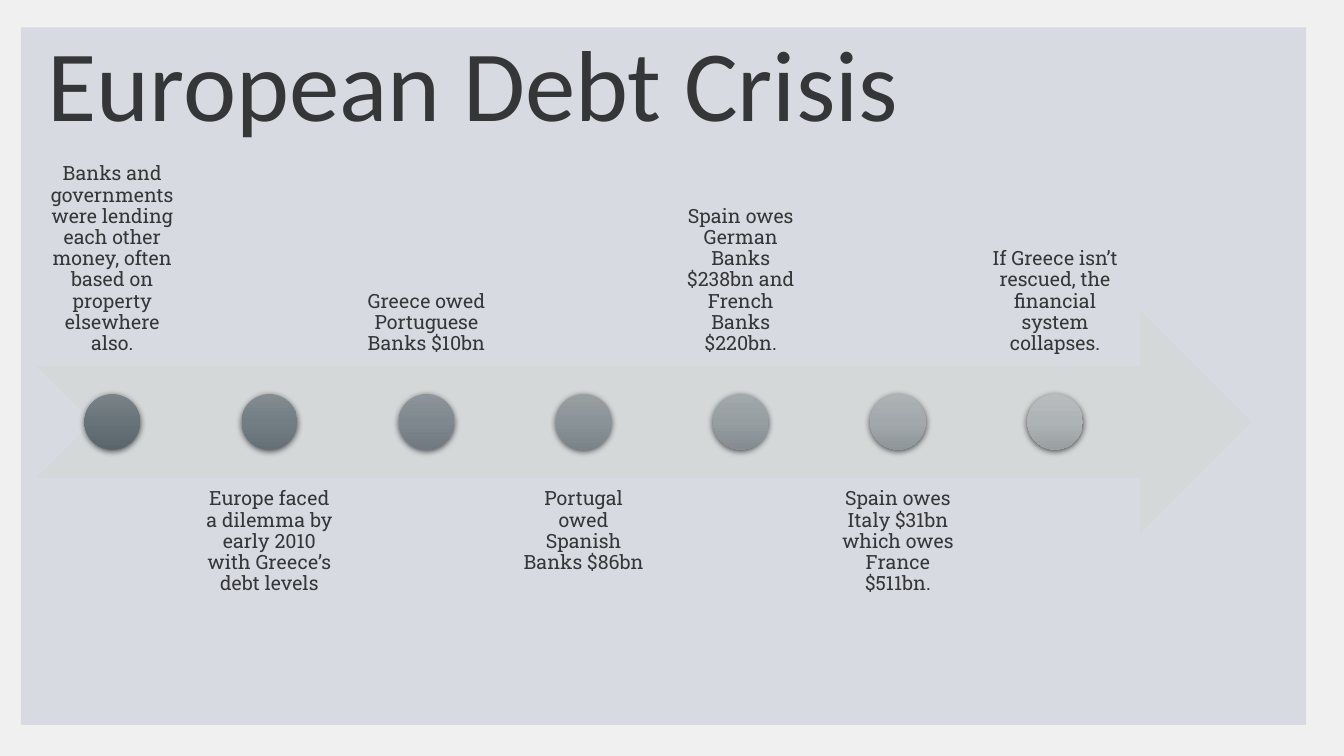
"""Builds the European Debt Crisis timeline slide."""
from copy import deepcopy
from lxml import etree
from pptx import Presentation
from pptx import util as u
from pptx.dml.color import RGBColor
from pptx.enum import shapes, text
from pptx.oxml.ns import qn

INK = "353638"
EVENTS = [
    ("Banks and governments were lending each other money, often based on property elsewhere also.",
     ("7B8388", "687379", "5B666C")),
    ("Europe faced a dilemma by early 2010 with Greece’s debt levels",
     ("838C91", "727E84", "657076")),
    ("Greece owed Portuguese Banks $10bn", ("8D959A", "7E888E", "6F797F")),
    ("Portugal owed Spanish Banks $86bn", ("989FA3", "8A9398", "7A8388")),
    ("Spain owes German Banks $238bn and French Banks $220bn.",
     ("A2A8AC", "969EA2", "858C91")),
    ("Spain owes Italy $31bn which owes France $511bn.",
     ("ADB2B5", "A2A8AC", "8F9699")),
    ("If Greece isn’t rescued, the financial system collapses.",
     ("B8BCBE", "AEB3B6", "9A9FA2")),
]


def paint(color_fill, color):
    color_fill.solid()
    color_fill.fore_color.rgb = RGBColor.from_string(color)


def write(holder, words, frame_format, align, font_format):
    frame = holder.text_frame
    frame.text = words
    for name, value in frame_format.items():
        setattr(frame, name, value)
    paragraph = frame.paragraphs[0]
    paragraph.alignment = align
    paragraph.line_spacing = 0.9
    font = paragraph.runs[0].font
    for name, value in font_format.items():
        setattr(font, name, value)
    paint(font.fill, INK)


deck = Presentation()
deck.slide_width, deck.slide_height = u.Cm(33.87), u.Cm(19.05)
slide = deck.slides.add_slide(deck.slide_layouts[5])
paint(slide.background.fill, "F0F0F0")

heading = slide.shapes.title
for name, value in dict(left=0.94, top=0.69, width=29.9, height=3.1).items():
    setattr(heading, name, u.Cm(value))
write(heading, "European Debt Crisis",
      dict(vertical_anchor=text.MSO_ANCHOR.MIDDLE, word_wrap=True,
           auto_size=text.MSO_AUTO_SIZE.NONE),
      text.PP_ALIGN.LEFT, dict(name="Calibri", size=u.Pt(72)))

backdrop = slide.shapes.add_shape(
    shapes.MSO_SHAPE.RECTANGLE, u.Cm(0.53), u.Cm(0.69), u.Cm(32.39), u.Cm(17.58))
timeline = slide.shapes.add_shape(
    shapes.MSO_SHAPE.NOTCHED_RIGHT_ARROW, u.Cm(0.94), u.Cm(7.83), u.Cm(30.6), u.Cm(5.61))
for band, color in ((backdrop, "D7DAE1"), (timeline, "D5D8D9")):
    paint(band.fill, color)
    band.line.fill.background()
    band.shadow.inherit = False
heading._element.addprevious(backdrop._element)

inset = u.Cm(0.28)
for index, (event, shades) in enumerate(EVENTS):
    left = 0.94 + 3.96 * index
    above = index % 2 == 0
    caption = slide.shapes.add_textbox(
        u.Cm(left), u.Cm(3.61 if above else 12.04), u.Cm(3.78), u.Cm(5.61))
    write(caption, event,
          dict(vertical_anchor=text.MSO_ANCHOR.BOTTOM if above else text.MSO_ANCHOR.TOP,
               word_wrap=True, margin_left=inset, margin_right=inset,
               margin_top=inset, margin_bottom=inset),
          text.PP_ALIGN.CENTER, dict(name="Roboto Slab", size=u.Pt(14)))

    marker = slide.shapes.add_shape(
        shapes.MSO_SHAPE.OVAL, u.Cm(left + 1.19), u.Cm(9.93), u.Cm(1.4), u.Cm(1.4))
    marker.line.fill.background()
    marker.fill.gradient()
    marker.fill.gradient_angle = 270
    stops = marker._element.spPr.find(".//" + qn("a:gsLst"))
    stops.append(deepcopy(stops[-1]))
    for stop, shade, position in zip(marker.fill.gradient_stops, shades, (0, 0.5, 1)):
        stop.color.rgb = RGBColor.from_string(shade)
        stop.position = position
    marker.shadow.inherit = False
    effects = marker._element.spPr.find(qn("a:effectLst"))
    shadow = etree.SubElement(effects, qn("a:outerShdw"), blurRad="57150", dist="19050",
                              dir="5400000", algn="ctr", rotWithShape="0")
    black = etree.SubElement(shadow, qn("a:srgbClr"), val="000000")
    etree.SubElement(black, qn("a:alpha"), val="63000")

deck.save("out.pptx")
